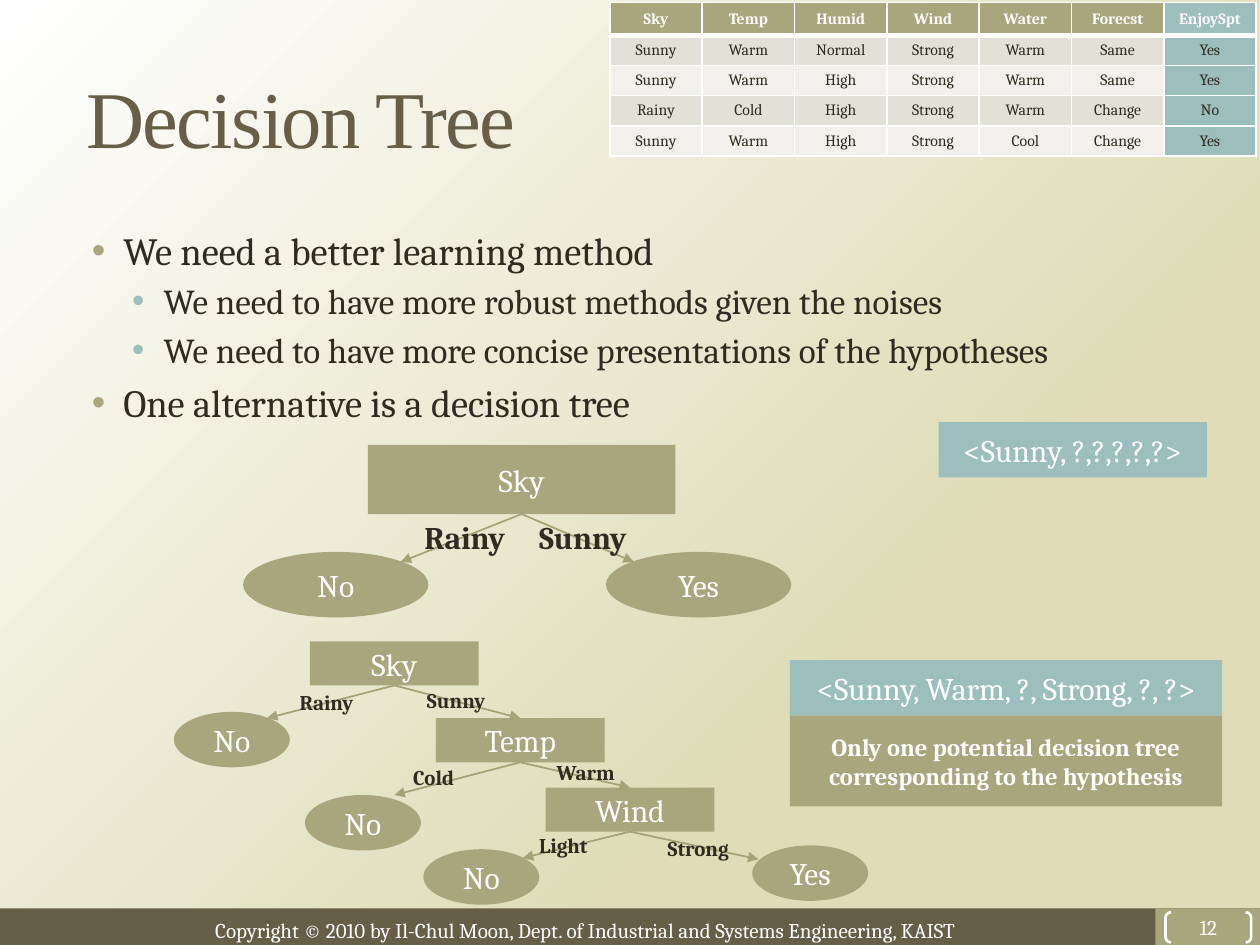
from pptx import Presentation
from pptx.dml.color import RGBColor
from pptx.enum.shapes import MSO_CONNECTOR, MSO_SHAPE
from pptx.enum.text import MSO_ANCHOR, MSO_AUTO_SIZE, PP_ALIGN
from pptx.oxml import parse_xml
from pptx.oxml.ns import nsdecls
from pptx.util import Inches, Pt

RECT, ELLIPSE, BRACKETS = MSO_SHAPE.RECTANGLE, MSO_SHAPE.OVAL, MSO_SHAPE.DOUBLE_BRACKET
STRAIGHT = MSO_CONNECTOR.STRAIGHT
LEFT, CENTER = PP_ALIGN.LEFT, PP_ALIGN.CENTER
TOP, MIDDLE = MSO_ANCHOR.TOP, MSO_ANCHOR.MIDDLE
GROW = MSO_AUTO_SIZE.SHAPE_TO_FIT_TEXT

COLORS = {
    "olive": "A9A57C", "teal": "9CBEBD", "brown": "675E47", "ink": "2F2B20",
    "white": "FFFFFF", "sand": "DFDCB7", "arrow": "A6A278",
    "odd_row": "E2E1D7", "even_row": "F1F0EC",
}


def color(name):
    """Return the named colour."""
    return RGBColor.from_string(COLORS[name])


def write(para, text, size=18, ink="white", bold=False, font="Cambria", align=CENTER, spacing=0):
    """Write text into a paragraph, with a line break at each newline."""
    para.alignment = align
    for index, line in enumerate(text.split("\n")):
        if index:
            para.add_line_break()
        span = para.add_run()
        span.text = line
        span.font.size, span.font.name, span.font.bold = Pt(size), font, bold
        span.font.color.rgb = color(ink)
        if spacing:
            span.font._element.set("spc", str(spacing))


def add_text(page, box, text, anchor=TOP, wrap=True, **text_format):
    """Add a text box; an unwrapped one grows with its text."""
    frame = page.shapes.add_textbox(*map(Inches, box)).text_frame
    frame.word_wrap, frame.vertical_anchor = wrap, anchor
    if not wrap:
        frame.auto_size = GROW
    if text:
        write(frame.paragraphs[0], text, **text_format)
    return frame


def add_block(page, kind, box, fill="olive", text="", **text_format):
    """Add a flat shape with centred text."""
    shape = page.shapes.add_shape(kind, *map(Inches, box))
    shape.shadow.inherit = False
    shape.line.fill.background()
    if fill:
        shape.fill.solid()
        shape.fill.fore_color.rgb = color(fill)
    else:
        shape.fill.background()
    shape.text_frame.word_wrap = True
    shape.text_frame.vertical_anchor = MIDDLE
    if text:
        write(shape.text_frame.paragraphs[0], text, **text_format)
    return shape


def add_arrow(page, start, end):
    """Draw a thin arrow between two points."""
    line = page.shapes.add_connector(STRAIGHT, *map(Inches, (*start, *end)))
    line.line.color.rgb, line.line.width = color("arrow"), Pt(1)
    properties = line._element.spPr
    properties.get_or_add_ln().append(parse_xml(f'<a:tailEnd {nsdecls("a")} type="triangle"/>'))
    properties.append(parse_xml(f'<a:effectLst {nsdecls("a")}/>'))


def add_background(page):
    """Fill the page with the diagonal sand gradient."""
    fill = page.background.fill
    fill.gradient()
    fill.gradient_angle = 135
    for stop, position, name in zip(fill.gradient_stops, (0.31, 1), ("sand", "white")):
        stop.position = position
        stop.color.rgb = color(name)


def add_footer(page, left, top):
    """Add the bottom bar with copyright line and page number."""
    add_block(page, RECT, (left, top, 10, 0.29), fill="brown")
    add_block(page, RECT, (left + 9.17, top, 0.83, 0.29))
    add_text(page, (left + 1.61, top + 0.02, 6.41, 0.3),
             "Copyright © 2010 by Il-Chul Moon, Dept. of Industrial and Systems Engineering, KAIST",
             wrap=False, size=12, align=LEFT)
    number = add_block(page, BRACKETS, (left + 9.25, top + 0.03, 0.68, 0.24), fill=None,
                       text="12", size=12)
    number.adjustments[0] = 0.18
    number.line.color.rgb, number.line.width = color("white"), Pt(1.5)
    frame = number.text_frame
    frame.margin_left = frame.margin_right = frame.margin_top = frame.margin_bottom = 0


def add_bullets(page, box, items):
    """Add a two-level bullet list from (level, text) pairs."""
    frame = add_text(page, box, "")
    styles = ((22, 0.38, "olive"), (20, 0.7, "teal"))
    for index, (level, text) in enumerate(items):
        size, indent, bullet = styles[level]
        para = frame.add_paragraph() if index else frame.paragraphs[0]
        para.level, para.space_before = level, Pt(size * 0.2)
        write(para, text, size=size, ink="ink", align=LEFT)
        properties = para._p.get_or_add_pPr()
        properties.set("marL", str(Inches(indent)))
        properties.set("indent", str(Inches(-0.25)))
        for xml in (f'<a:buClr {nsdecls("a")}><a:srgbClr val="{COLORS[bullet]}"/></a:buClr>',
                    f'<a:buFont {nsdecls("a")} typeface="Arial"/>',
                    f'<a:buChar {nsdecls("a")} char="•"/>'):
            properties.append(parse_xml(xml))


def set_borders(cell, bottom):
    """Give a cell white borders, with its own bottom width in points."""
    properties = cell._tc.get_or_add_tcPr()
    for index, (side, width) in enumerate((("L", 1), ("R", 1), ("T", 1), ("B", bottom))):
        properties.insert(index, parse_xml(
            f'<a:ln{side} {nsdecls("a")} w="{Pt(width)}"><a:solidFill>'
            f'<a:srgbClr val="{COLORS["white"]}"/></a:solidFill></a:ln{side}>'))


def add_examples(page, box, rows):
    """Add the table of training examples, its last column in teal."""
    table = page.shapes.add_table(len(rows), len(rows[0]), *map(Inches, box)).table
    for column in table.columns:
        column.width = Inches(box[2] / len(rows[0]))
    for r, row in enumerate(rows):
        table.rows[r].height = Inches(0.24 if r else 0.26)
        row_fill = ("even_row", "odd_row")[r % 2] if r else "olive"
        for c, text in enumerate(row):
            cell = table.cell(r, c)
            cell.margin_top = cell.margin_bottom = Inches(0.02)
            cell.vertical_anchor = MIDDLE
            cell.fill.solid()
            cell.fill.fore_color.rgb = color("teal" if c == len(row) - 1 else row_fill)
            write(cell.text_frame.paragraphs[0], text, size=9,
                  ink="ink" if r else "white", bold=not r)
            set_borders(cell, bottom=1 if r else 3)


def add_tree(page, left, top, tests, leaves, branches, test_size, leaf_size, label_size):
    """Draw a decision tree of tests, leaves and labelled branches."""
    for kind, size, nodes in ((RECT, test_size, tests), (ELLIPSE, leaf_size, leaves)):
        for text, x, y in nodes:
            add_block(page, kind, (left + x, top + y, *size), text=text)
    width, height = test_size
    for parent, end, label, label_at in branches:
        x, y = tests[parent][1:]
        add_arrow(page, (left + x + width / 2, top + y + height), (left + end[0], top + end[1]))
        add_text(page, (left + label_at[0], top + label_at[1], *label_at[2:]), label,
                 wrap=False, size=label_size, ink="ink", bold=True, align=LEFT)


def add_hypothesis(page, left, top, width, text, note=""):
    """Add a hypothesis banner with an optional note below it."""
    add_block(page, RECT, (left, top, width, 0.44), fill="teal", text=text)
    if note:
        add_block(page, RECT, (left, top + 0.44, width, 0.72), text=note, size=14, bold=True)


def build_page(page):
    """Place every region of the decision tree page."""
    add_background(page)
    add_footer(page, 0, 7.21)
    add_text(page, (0.59, 0.3, 4.17, 1.24), "Decision Tree", anchor=MIDDLE, size=46,
             ink="brown", font="Times New Roman", align=LEFT, spacing=-100)
    add_bullets(page, (0.5, 1.75, 9.22, 5.39), [
        (0, "We need a better learning method"),
        (1, "We need to have more robust methods given the noises"),
        (1, "We need to have more concise presentations of the hypotheses"),
        (0, "One alternative is a decision tree")])
    add_examples(page, (4.84, 0.02, 5.13, 1.22), [line.split() for line in (
        "Sky Temp Humid Wind Water Forecst EnjoySpt",
        "Sunny Warm Normal Strong Warm Same Yes",
        "Sunny Warm High Strong Warm Same Yes",
        "Rainy Cold High Strong Warm Change No",
        "Sunny Warm High Strong Cool Change Yes")])
    add_tree(page, 1.93, 3.53, [("Sky", 0.99, 0)], [("No", 0, 0.85), ("Yes", 2.88, 0.85)], [
        (0, (1.25, 0.93), "Rainy", (1.34, 0.53, 0.86, 0.4)),
        (0, (3.1, 0.93), "Sunny", (2.25, 0.53, 0.91, 0.4))],
        test_size=(2.44, 0.55), leaf_size=(1.47, 0.52), label_size=18)
    add_tree(page, 1.38, 5.09,
             [("Sky", 1.08, 0), ("Temp", 2.08, 0.61), ("Wind", 2.95, 1.16)],
             [("No", 0, 0.56), ("No", 1.04, 1.22), ("No", 1.98, 1.65), ("Yes", 4.59, 1.62)], [
        (0, (0.74, 0.61), "Rainy", (0.9, 0.33, 0.64, 0.3)),
        (0, (2.75, 0.61), "Sunny", (1.91, 0.32, 0.68, 0.3)),
        (1, (1.75, 1.22), "Cold", (1.8, 0.93, 0.55, 0.3)),
        (1, (3.62, 1.16), "Warm", (2.94, 0.89, 0.67, 0.3)),
        (2, (2.77, 1.72), "Light", (2.8, 1.47, 0.6, 0.3)),
        (2, (4.64, 1.73), "Strong", (3.82, 1.49, 0.71, 0.3))],
        test_size=(1.34, 0.35), leaf_size=(0.92, 0.44), label_size=12)
    add_hypothesis(page, 7.45, 3.35, 2.13, "<Sunny, ?,?,?,?,?>")
    add_hypothesis(page, 6.27, 5.24, 3.43, "<Sunny, Warm, ?, Strong, ?, ?>",
                   "Only one potential decision tree\ncorresponding to the hypothesis")


deck = Presentation()
deck.slide_width, deck.slide_height = Inches(10), Inches(7.5)
build_page(deck.slides.add_slide(deck.slide_layouts[6]))
deck.save("out.pptx")
